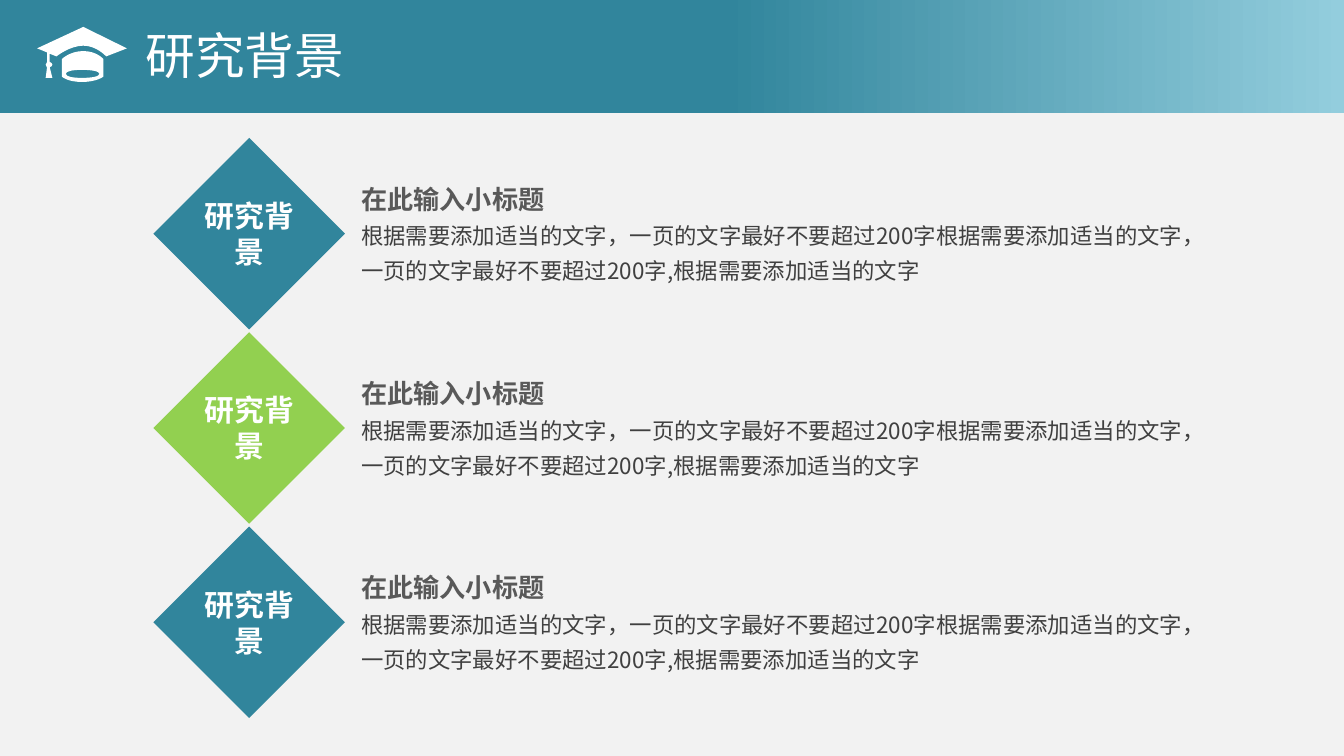
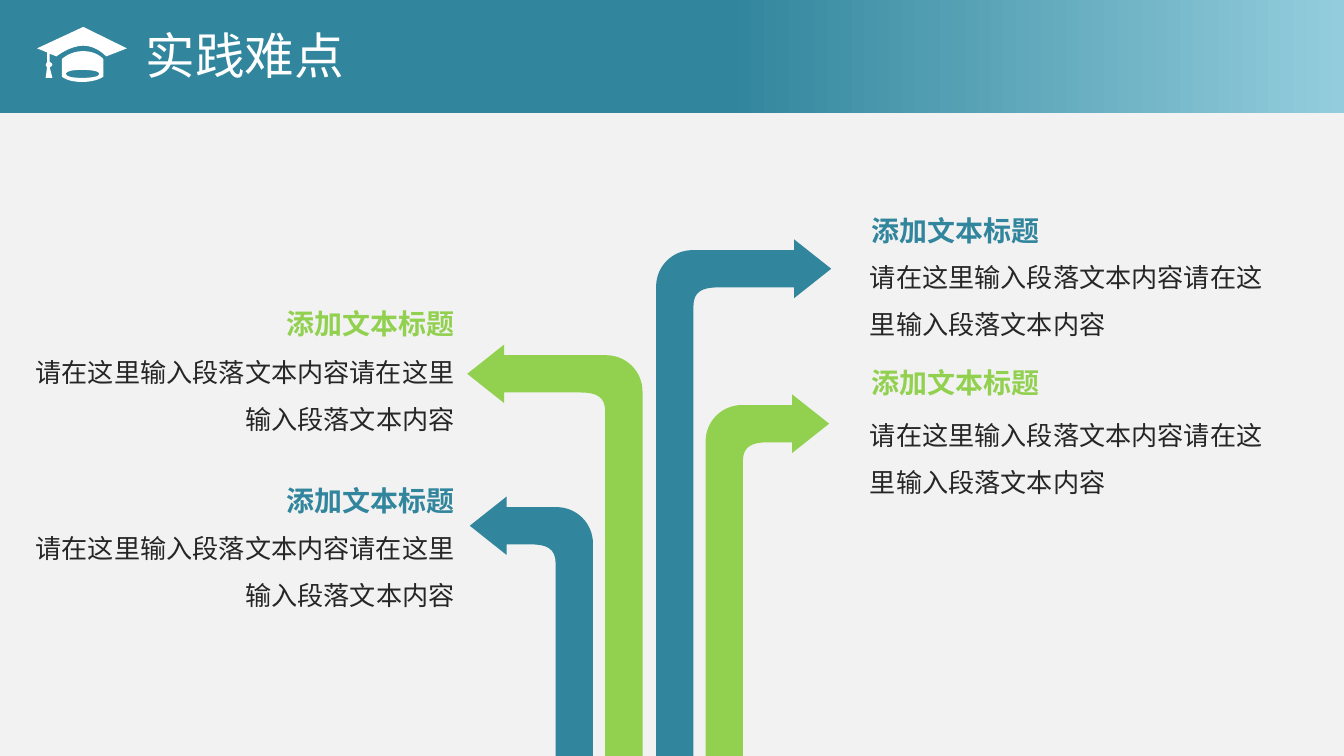
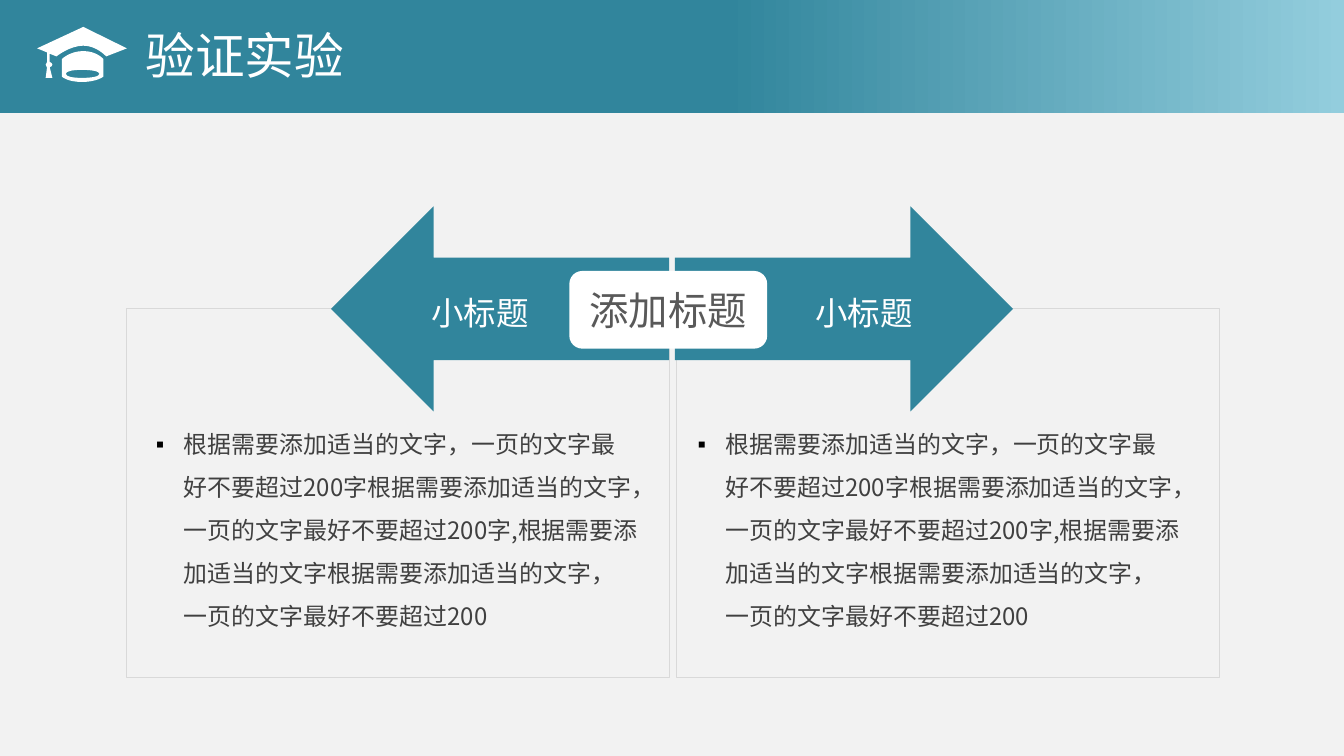
from pptx import Presentation
from pptx.dml.color import RGBColor as RGB
from pptx.enum.shapes import MSO_SHAPE as Kind
from pptx.enum.text import MSO_ANCHOR as Anchor, MSO_AUTO_SIZE as Auto, PP_ALIGN as Align
from pptx.oxml.ns import qn
from pptx.util import Pt
from lxml.etree import Element, SubElement as Sub

FONT = "Noto Sans CJK SC"
INK = {"teal": "31859C", "sky": "93CDDD", "green": "92D050", "white": "FFFFFF",
       "back": "F2F2F2", "edge": "D9D9D9", "head": "595959", "body": "404040",
       "dark": "262626", "black": "000000"}
INK_RGB = {name: RGB.from_string(code) for name, code in INK.items()}


def box(slide, at, paras=(), kind=None, fill=None, pad=(7.2, 3.6, 7.2, 3.6),
        align=Align.LEFT, gap=None):
    """Add a text box, or a preset shape; paras holds (text, size, ink, bold)."""
    at = [Pt(v) for v in at]
    if kind is None:
        shape = slide.shapes.add_textbox(*at)
    else:
        shape = slide.shapes.add_shape(kind, *at)
        shape.shadow.inherit = False
        shape.line.fill.background()
        if fill:
            shape.fill.solid()
            shape.fill.fore_color.rgb = INK_RGB[fill]
        else:
            shape.fill.background()
    frame = shape.text_frame
    frame.word_wrap = True
    frame.vertical_anchor = Anchor.MIDDLE if kind else Anchor.TOP
    if kind is None:
        frame.auto_size = Auto.SHAPE_TO_FIT_TEXT
    (frame.margin_left, frame.margin_top,
     frame.margin_right, frame.margin_bottom) = [Pt(v) for v in pad]
    for i, (text, size, ink, bold) in enumerate(paras):
        para = frame.add_paragraph() if i else frame.paragraphs[0]
        para.alignment = align
        para.line_spacing = gap
        run = para.add_run()
        run.text = text
        run.font.size, run.font.bold, run.font.name = Pt(size), bold, FONT
        run.font.color.rgb = INK_RGB[ink]
        Sub(run._r.get_or_add_rPr(), qn("a:ea"), typeface=FONT)
    return shape


def trace(slide, loops, ink, unit=1):
    """Draw closed outlines; a step of six numbers is a cubic curve."""
    loops = [[[round(v * unit * 100) for v in step] for step in loop] for loop in loops]
    pen = slide.shapes.build_freeform(*loops[0][0], scale=Pt(0.01))
    for i, loop in enumerate(loops):
        if i:
            pen.move_to(*loop[0])
        pen.add_line_segments([step[-2:] for step in loop[1:]], close=True)
    shape = pen.convert_to_shape()
    shape.shadow.inherit = False
    shape.fill.solid()
    shape.fill.fore_color.rgb = INK_RGB[ink]
    shape.line.fill.background()
    # Turn the lines that stand for curves into cubic segments
    left = min(step[-2] for loop in loops for step in loop)
    top = min(step[-1] for loop in loops for step in loop)
    steps = [step for loop in loops for step in loop[1:]]
    for node, step in zip(list(shape._element.iter(qn("a:lnTo"))), steps):
        if len(step) == 6:
            node.tag = qn("a:cubicBezTo")
            for i in (0, 2):
                dot = Element(qn("a:pt"), x=str(step[i] - left), y=str(step[i + 1] - top))
                node.insert(i // 2, dot)


deck = Presentation()
deck.slide_width, deck.slide_height = Pt(720), Pt(405)

# Graduation cap, in hundredths of an inch: board with tassel, crown, opening
CAP = [
    [(79, 42), (79, 42, 72, 34, 62, 34), (52, 34, 42, 42, 42, 42), (37, 40), (37, 46),
     (38, 47, 39, 47, 39, 48), (39, 49, 38, 50, 37, 50), (39, 58), (34, 58), (35, 50),
     (35, 50, 34, 49, 34, 48), (34, 48, 35, 47, 35, 46), (35, 39), (27.6, 36), (62, 20),
     (94.4, 36)],
    [(62, 38), (72, 38, 77, 44, 77, 44), (77, 57), (77, 57, 72, 61, 61, 61),
     (50, 61, 46, 57, 46, 57), (46, 44), (46, 44, 52, 38, 62, 38)],
    [(61, 58), (68, 58, 74, 57, 74, 55), (74, 53, 68, 52, 61, 52),
     (54, 52, 49, 53, 49, 55), (49, 57, 54, 58, 61, 58)],
]

# Shared header: band, title, cap
slides = []
for title in ("研究背景", "实践难点", "验证实验"):
    slide = deck.slides.add_slide(deck.slide_layouts[6])
    band = box(slide, (0, 0, 720, 60.5), kind=Kind.RECTANGLE, fill="teal")
    band.fill.gradient()
    band.fill.gradient_angle = 180
    for stop, ink, spot in zip(band.fill.gradient_stops, ("sky", "teal"), (0, 0.46)):
        stop.color.rgb, stop.position = INK_RGB[ink], spot
    box(slide, (70.9, 9.6, 304, 39.6), [(title, 26.6, "white", False)])
    trace(slide, CAP, "white", unit=0.72)
    slides.append(slide)
first, second, third = slides

# Grey ground, moved to the master behind everything
ground = box(first, (0, 0, 720, 405), kind=Kind.RECTANGLE, fill="back")
deck.slide_master.shapes._spTree.insert(2, ground._element)

# Slide 1: three diamonds with notes
NOTE = "根据需要添加适当的文字，一页的文字最好不要超过200字"
for row, ink in enumerate(("teal", "green", "teal")):
    drop = 104.1 * row
    box(first, (82.2, 73.9 + drop, 102.6, 102.6), [("研究背景", 16, "white", True)],
        Kind.DIAMOND, ink, (0, 3.6, 0, 3.6), Align.CENTER)
    box(first, (186.5, 89.5 + drop, 462, 67),
        [("在此输入小标题", 14, "head", True),
         (NOTE + NOTE + ",根据需要添加适当的文字", 12, "body", False)],
        pad=(7, 3.6, 6.5, 3.6), gap=1.3)

# Slide 2: bent arrows as (stem edge, shaft middle, tip, ink, heading top, body top)
ARROWS = [
    (351.5, 144, 445.3, "teal", 111.5, 128.9),
    (378, 227, 444.2, "green", 193, 213.4),
    (344.2, 200.3, 250.3, "green", 161.3, 179.6),
    (317.7, 281.7, 251.7, "teal", 256, 273.6),
]
for edge, mid, tip, ink, top, low in ARROWS:
    right = tip > edge
    way = 1 if right else -1
    neck, inner, bend = tip - 19.8 * way, edge + 20 * way, edge + 33 * way
    trace(second, [[
        (edge, 405), (edge, mid + 9.5),
        (edge, mid - 1.3, edge + 8.7 * way, mid - 10, edge + 19.5 * way, mid - 10),
        (neck, mid - 10), (neck, mid - 15.7), (tip, mid), (neck, mid + 15.7),
        (neck, mid + 10), (bend, mid + 10),
        (edge + 24.5 * way, mid + 10, inner, mid + 12.5, inner, mid + 20),
        (inner, 405)]], ink)
    side = Align.LEFT if right else Align.RIGHT
    box(second, (461.8 if right else 130.6, top, 118, 24),
        [("添加文本标题", 15, ink, True)], pad=(5, 3, 5, 3), align=side)
    box(second, (461 if right else 8.2, low, 234 if right else 240.5, 53.3),
        [("请在这里输入段落文本内容" * 2, 14, "dark", False)],
        pad=(5, 3, 5, 3), align=side, gap=1.5)

# Slide 3: two frames
for left in (362.6, 67.7):
    panel = box(third, (left, 165.3, 291, 197.5), kind=Kind.RECTANGLE)
    panel.line.color.rgb = INK_RGB["edge"]
    panel.line.width = Pt(0.5)

# Opposed arrows and the label between them
for left, pad, flip in ((361.5, (49, 0, 0, 0), "0"), (177.4, (0, 0, 49, 0), "1")):
    arrow = box(third, (left, 110.6, 181.2, 109.8), [("小标题", 17.4, "white", False)],
                Kind.RIGHT_ARROW, "teal", pad, Align.CENTER, 1.2)
    arrow._element.spPr.xfrm.set("flipH", flip)
box(third, (305, 145.2, 106, 41.6), [("添加标题", 21.1, "head", False)],
    Kind.ROUNDED_RECTANGLE, "white", (6.5, 3, 6.5, 3), Align.CENTER)

# Bulleted text in each frame
LONG = NOTE + NOTE + ",根据需要添加适当的文字" + NOTE.removesuffix("字")
for left in (83.5, 373.7):
    item = box(third, (left, 214.5, 269.3, 140.4), [(LONG, 12.8, "body", False)],
               pad=(0, 8, 11, 5), gap=1.5)
    item.text_frame.auto_size = Auto.NONE
    props = item.text_frame.paragraphs[0]._p.get_or_add_pPr()
    props.set("marL", str(Pt(15)))
    props.set("indent", str(-Pt(15)))
    Sub(Sub(props, qn("a:buClr")), qn("a:srgbClr"), val=INK["black"])
    Sub(props, qn("a:buFont"), typeface="Arial")
    Sub(props, qn("a:buChar"), char="▪")

deck.save("out.pptx")
